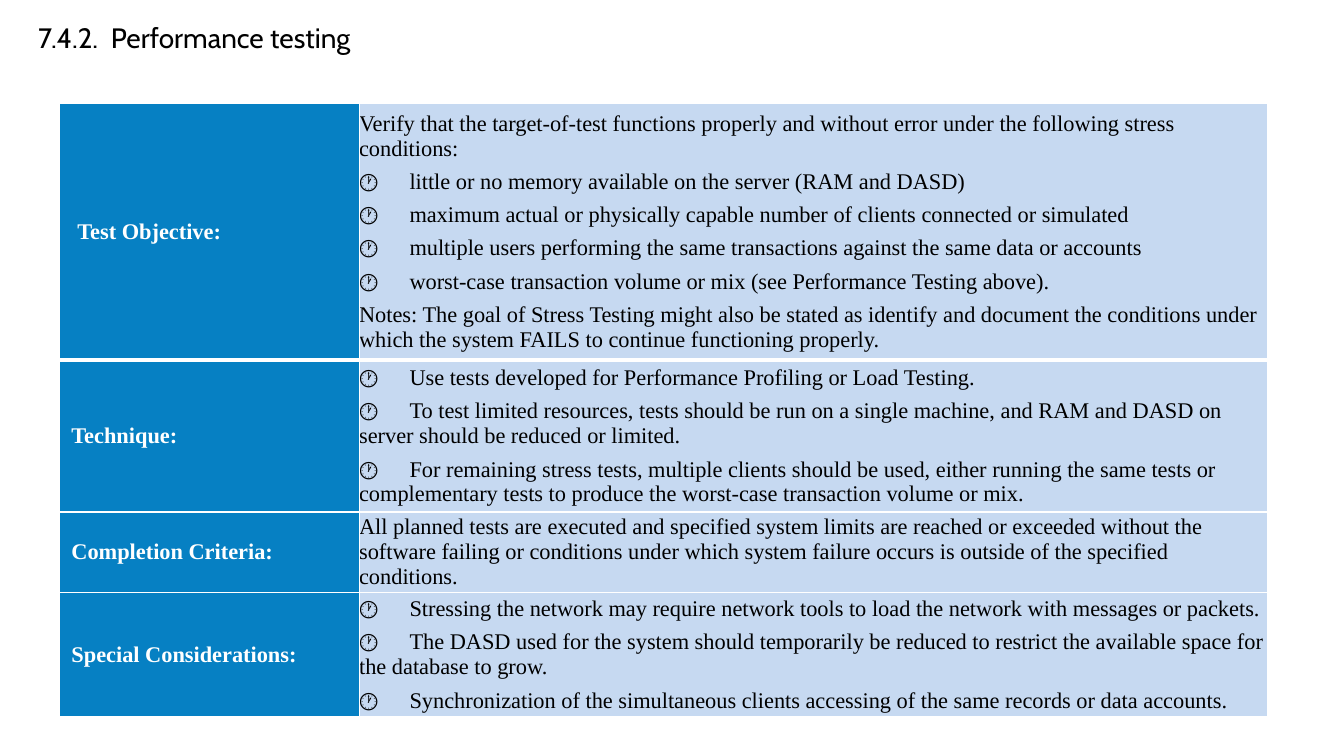
from lxml import etree
from pptx import Presentation
from pptx import util as u
from pptx.dml.color import RGBColor
from pptx.enum import text
from pptx.oxml import ns

BLACK = RGBColor(0, 0, 0)
WHITE = RGBColor(255, 255, 255)
BLUE = RGBColor(0x06, 0x80, 0xC3)
PALE = RGBColor(0xC6, 0xD9, 0xF1)

ROWS = [
    ("Test Objective:", 0.45, 6.48, [
        "Verify that the target-of-test functions properly and without error under the following stress conditions:",
        "🕐\tlittle or no memory available on the server (RAM and DASD)",
        "🕐\tmaximum actual or physically capable number of clients connected or simulated",
        "🕐\tmultiple users performing the same transactions against the same data or accounts",
        "🕐\tworst-case transaction volume or mix (see Performance Testing above).",
        "Notes: The goal of Stress Testing might also be stated as identify and document the conditions under "
        "which the system FAILS to continue functioning properly.",
    ]),
    ("Technique:", 0.3, 3.82, [
        "🕐\tUse tests developed for Performance Profiling or Load Testing.",
        "🕐\tTo test limited resources, tests should be run on a single machine, and RAM and DASD on server "
        "should be reduced or limited.",
        "🕐\tFor remaining stress tests, multiple clients should be used, either running the same tests or "
        "complementary tests to produce the worst-case transaction volume or mix.",
    ]),
    ("Completion Criteria:", 0.3, 2.02, [
        "All planned tests are executed and specified system limits are reached or exceeded without the "
        "software failing or conditions under which system failure occurs is outside of the specified conditions.",
    ]),
    ("Special Considerations:", 0.3, 3.13, [
        "🕐\tStressing the network may require network tools to load the network with messages or packets.",
        "🕐\tThe DASD used for the system should temporarily be reduced to restrict the available space for "
        "the database to grow.",
        "🕐\tSynchronization of the simultaneous clients accessing of the same records or data accounts.",
    ]),
]


def write(frame, lines, font="Times New Roman", size=16, color=BLACK, bold=False, gap=0, left=0, tab=0):
    for i, line in enumerate(lines):
        para = frame.paragraphs[0] if i == 0 else frame.add_paragraph()
        props = para._p.get_or_add_pPr()
        props.set("marL", str(u.Cm(left)))
        props.set("indent", "0")
        para.space_before = u.Pt(gap if i else 0)
        para.space_after = u.Pt(gap)
        if tab and "\t" in line:
            stops = etree.SubElement(props, ns.qn("a:tabLst"))
            etree.SubElement(stops, ns.qn("a:tab"), pos=str(u.Cm(tab)), algn="l")
        run = para.add_run()
        run.text = line
        run.font.name, run.font.size, run.font.bold = font, u.Pt(size), bold
        run.font.color.rgb = color


class Deck:
    """Hold the style and the current slide of the test plan."""

    def __init__(self):
        self.show = Presentation()
        self.show.slide_width, self.show.slide_height = u.Cm(33.87), u.Cm(19.05)
        self.slide = self.show.slides.add_slide(self.show.slide_layouts[6])

    def title(self, words, x, y, w, h):
        frame = self.slide.shapes.add_textbox(u.Cm(x), u.Cm(y), u.Cm(w), u.Cm(h)).text_frame
        frame.word_wrap = False
        write(frame, [words], font="Cabin", size=20)

    def cell(self, cell, fill, edges):
        props = cell._tc.get_or_add_tcPr()
        for side, width in edges.items():
            line = etree.SubElement(props, ns.qn("a:ln" + side), w=str(u.Pt(width)))
            solid = etree.SubElement(line, ns.qn("a:solidFill"))
            etree.SubElement(solid, ns.qn("a:srgbClr"), val=str(WHITE))
        cell.fill.solid()
        cell.fill.fore_color.rgb = fill
        cell.margin_left = cell.margin_right = cell.margin_top = cell.margin_bottom = 0
        cell.vertical_anchor = text.MSO_ANCHOR.MIDDLE

    def table(self, rows, x, y, widths):
        high = sum(row[2] for row in rows)
        grid = self.slide.shapes.add_table(
            len(rows), len(widths), u.Cm(x), u.Cm(y), u.Cm(sum(widths)), u.Cm(high)).table
        grid.first_row = grid.horz_banding = False
        for col, width in zip(grid.columns, widths):
            col.width = u.Cm(width)
        for i, (label, left, height, lines) in enumerate(rows):
            grid.rows[i].height = u.Cm(height)
            edges = {"L": 1, "R": 1, "T": 3 if i == 1 else 1, "B": 3 if i == 0 else 1}
            head, body = grid.cell(i, 0), grid.cell(i, 1)
            self.cell(head, BLUE, edges)
            self.cell(body, PALE, edges)
            write(head.text_frame, [label], color=WHITE, bold=True, gap=6, left=left)
            write(body.text_frame, lines, gap=3, tab=1.05)


def main():
    deck = Deck()
    deck.title("7.4.2.  Performance testing", 0.71, 0.38, 9, 1.1)
    deck.table(ROWS, 1.5, 2.6, [7.55, 22.9])
    deck.show.save("out.pptx")


if __name__ == "__main__":
    main()
